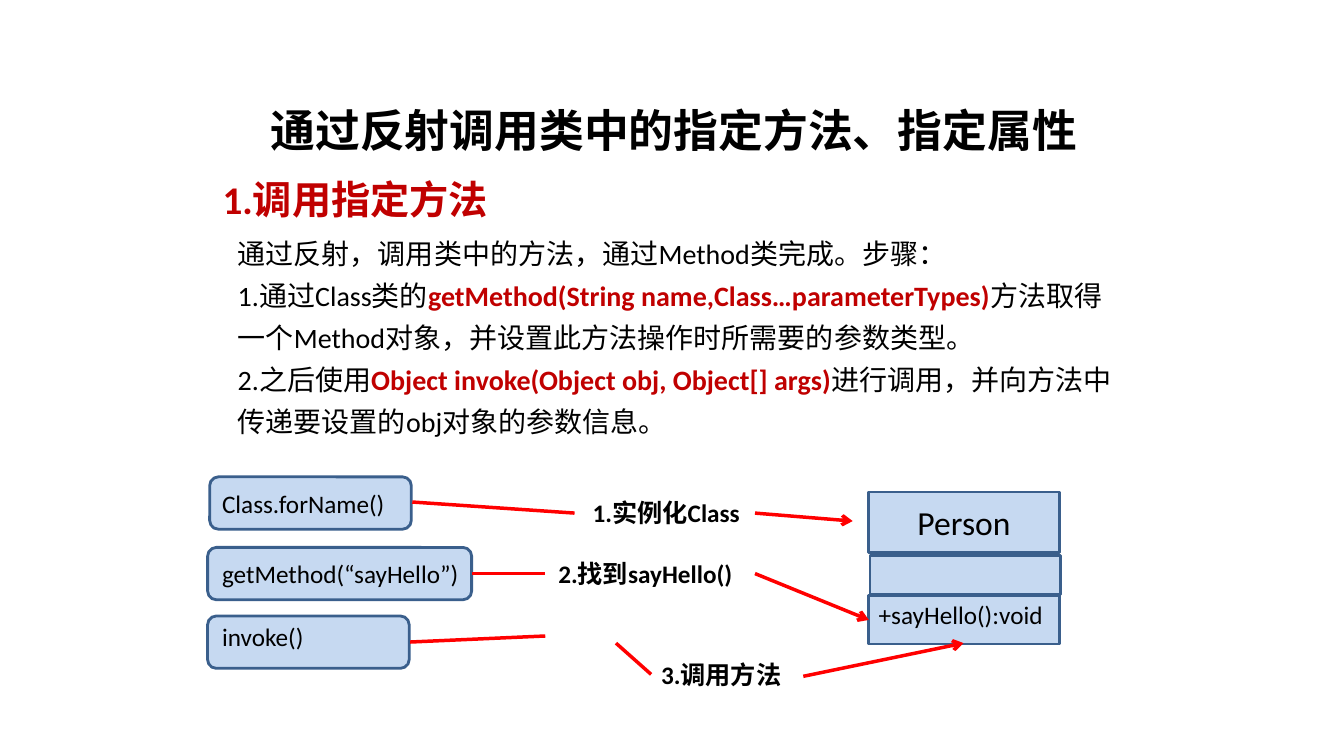
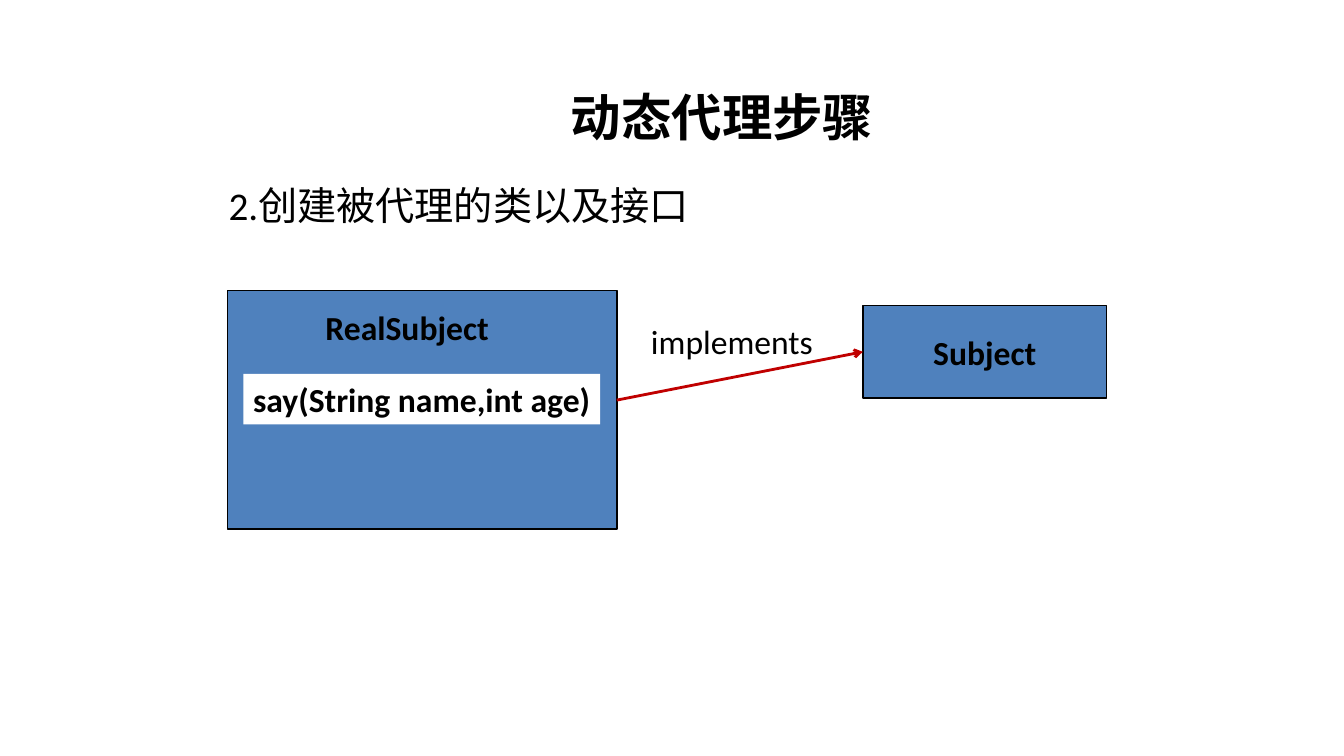
from pptx import Presentation
from pptx.util import Pt
from pptx.dml.color import RGBColor
from pptx.enum.shapes import MSO_SHAPE, MSO_CONNECTOR
from pptx.enum.text import MSO_ANCHOR, PP_ALIGN
from pptx.oxml.ns import qn
from lxml.etree import SubElement

FONT = "Calibri"
BLACK = RGBColor(0, 0, 0)
WHITE = RGBColor(255, 255, 255)
CRIMSON = RGBColor(0xC0, 0, 0)
RED = RGBColor(0xFF, 0, 0)
PALE = RGBColor(0xC6, 0xD9, 0xF1)
NAVY = RGBColor(0x3A, 0x5F, 0x8C)
BLUE = RGBColor(0x4F, 0x81, 0xBD)
LEFT, CENTER = PP_ALIGN.LEFT, PP_ALIGN.CENTER
TOP, MIDDLE = MSO_ANCHOR.TOP, MSO_ANCHOR.MIDDLE
RECT, ROUND = MSO_SHAPE.RECTANGLE, MSO_SHAPE.ROUNDED_RECTANGLE


def put(slide, at, paras=(), size=18, bold=False, color=BLACK, align=LEFT,
        anchor=TOP, gap=None, kind=None, fill=None, edge=None, width=2,
        inset=(7.2, 3.6, 7.2), wrap=True):
    at = [Pt(v) for v in at]
    if kind is None:
        box = slide.shapes.add_textbox(*at)
    else:
        box = slide.shapes.add_shape(kind, *at)
        box.shadow.inherit = False
        box.fill.solid()
        box.fill.fore_color.rgb = fill
        if edge is None:
            box.line.fill.background()
        else:
            box.line.color.rgb = edge
            box.line.width = Pt(width)
    frame = box.text_frame
    frame.word_wrap = wrap
    frame.vertical_anchor = anchor
    frame.margin_left, frame.margin_top, frame.margin_right = [Pt(v) for v in inset]
    for i, parts in enumerate(paras):
        para = frame.paragraphs[0] if i == 0 else frame.add_paragraph()
        para.alignment = align
        if gap:
            para.line_spacing = Pt(gap)
        font = para.font
        font.name, font.size, font.bold = FONT, Pt(size), bold
        font.color.rgb = color
        for j, text in enumerate(parts):
            run = para.add_run()
            run.text = text
            if j % 2:
                run.font.bold = True
                run.font.color.rgb = CRIMSON


def link(slide, ends, color, width, arrow):
    line = slide.shapes.add_connector(MSO_CONNECTOR.STRAIGHT, *[Pt(v) for v in ends])
    line.line.color.rgb = color
    line.line.width = Pt(width)
    props = line._element.spPr
    if arrow:
        SubElement(props.find(qn("a:ln")), qn("a:tailEnd"), type="arrow")
    SubElement(props, qn("a:effectLst"))


deck = Presentation()
deck.slide_width, deck.slide_height = Pt(960), Pt(540)
blank = deck.slide_layouts[6]
title = dict(bold=True, anchor=MIDDLE, align=CENTER)
pale = dict(fill=PALE, edge=NAVY)

calls = deck.slides.add_slide(blank)
put(calls, (176.5, 69.5, 610, 46), [["通过反射调用类中的指定方法、指定属性"]], 32, **title)
put(calls, (152, 121.5, 537, 41), [["1.调用指定方法"]], 28, True, CRIMSON)
steps = [
    ["通过反射，调用类中的方法，通过Method类完成。步骤："],
    ["1.通过Class类的", "getMethod(String name,Class…parameterTypes)",
     "方法取得一个Method对象，并设置此方法操作时所需要的参数类型。"],
    ["2.之后使用", "Object invoke(Object obj, Object[] args)",
     "进行调用，并向方法中传递要设置的obj对象的参数信息。"],
]
put(calls, (162.7, 159.5, 646.5, 158.5), steps, 20, gap=30)

for left, top, wide, text, anchor, inset in [
    (149.8, 340.6, 144, "Class.forName()", MIDDLE, (7, 3.6, 0)),
    (148.3, 391, 188.6, "getMethod(“sayHello”)", MIDDLE, (8.5, 3.6, 0)),
    (148.3, 440, 144, "invoke()", TOP, (8.5, 1.8, 0)),
]:
    put(calls, (left, top, wide, 37.4), [[text]], anchor=anchor, inset=inset,
        kind=ROUND, **pale)

for left, top, text in [
    (416.2, 351.4, "1.实例化Class"),
    (391.7, 395.3, "2.找到sayHello()"),
    (465.1, 467.3, "3.调用方法"),
]:
    put(calls, (left, top, 147.6, 28.8), [[text]], bold=True)

put(calls, (620.6, 351.4, 136, 43.2), [["Person"]], 24, align=CENTER,
    anchor=MIDDLE, kind=RECT, **pale)
put(calls, (621.4, 396.7, 136, 28), kind=RECT, **pale)
put(calls, (620.6, 425.5, 136, 34.5), [["+sayHello():void"]], inset=(7.2, 2.2, 0),
    kind=RECT, **pale)

for arrow, ends in [
    (False, (294.5, 358.6, 410.4, 366.5)),
    (False, (337, 409.7, 389.5, 409.7)),
    (False, (293, 458.6, 389.5, 454.3)),
    (False, (440, 459.4, 465.1, 481.7)),
    (True, (539.3, 366.5, 609.1, 372.2)),
    (True, (539.3, 409.7, 620.6, 442.8)),
    (True, (573.8, 483.1, 688.3, 459.4)),
]:
    link(calls, ends, RED, 2.5, arrow)

proxy = deck.slides.add_slide(blank)
put(proxy, (349.5, 54.7, 332.6, 57), [["动态代理步骤"]], 36, **title)
put(proxy, (156.2, 126, 663.8, 42), [["2.创建被代理的类以及接口"]], 28)
blue = dict(kind=RECT, fill=BLUE, edge=BLACK, width=1)
put(proxy, (162.7, 207.4, 278, 170.6), **blue)
put(proxy, (616.3, 218.2, 174.2, 66.2), [["Subject"]], 24, True, align=CENTER,
    anchor=MIDDLE, **blue)
put(proxy, (225.4, 216, 154.8, 36), [["RealSubject"]], 24, True)
put(proxy, (457.9, 225.4, 138.2, 36), [["implements"]], 24)
put(proxy, (173.8, 267.1, 254.9, 36), [["say(String name,int age)"]], 24, True,
    align=CENTER, kind=RECT, fill=WHITE, wrap=False)
link(proxy, (440.6, 285.8, 616.3, 251.3), CRIMSON, 2, True)

deck.save("out.pptx")
